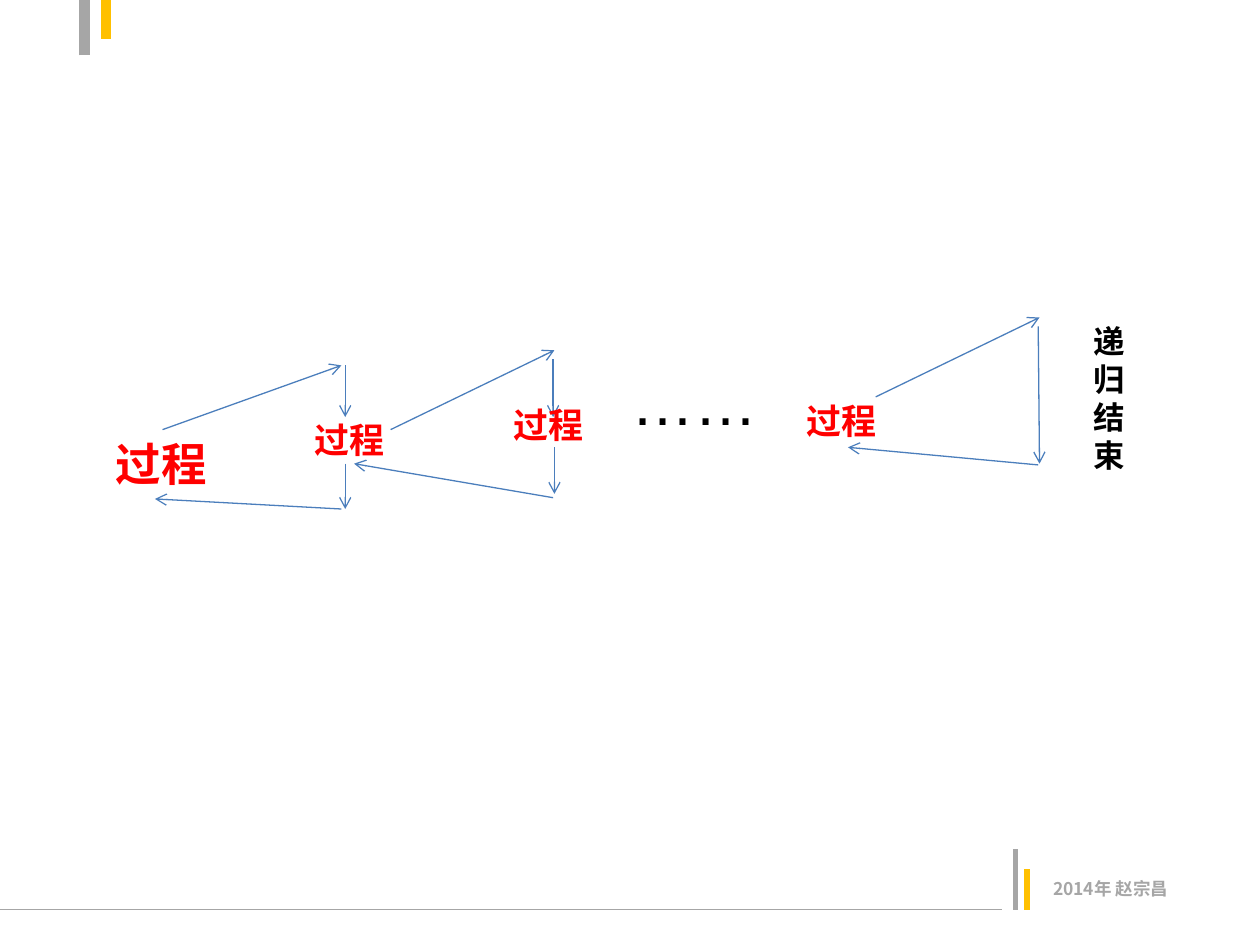
import pptx
import pptx.util
import pptx.dml.color
import pptx.enum.shapes
import pptx.oxml.ns
import lxml.etree
from dataclasses import dataclass
from pptx.util import Inches


@dataclass
class Theme:
    """Colours, fonts and type sizes."""
    gray: str = "A6A6A6"
    gold: str = "FFC000"
    blue: str = "4B7EBC"
    red: str = "FF0000"
    black: str = "000000"
    font: str = "Arial"
    foot_font: str = "Noto Sans CJK SC"
    foot: int = 10
    end: int = 18
    step: int = 20
    first: int = 26
    dots: int = 36


class Deck:
    """Holds the theme and the current slide."""

    def __init__(self, theme):
        """Start a file with one empty slide."""
        self.theme = theme
        self.file = pptx.Presentation()
        self.file.slide_width = Inches(10)
        self.file.slide_height = Inches(7.5)
        self.slide = self.file.slides.add_slide(self.file.slide_layouts[6])

    def line(self, start, end, color, width):
        """Draw a straight line and return it."""
        kind = pptx.enum.shapes.MSO_CONNECTOR.STRAIGHT
        ends = [Inches(v) for v in (*start, *end)]
        line = self.slide.shapes.add_connector(kind, *ends)
        line.line.color.rgb = pptx.dml.color.RGBColor.from_string(color)
        line.line.width = pptx.util.Pt(width)
        props = line._element.spPr
        lxml.etree.SubElement(props, pptx.oxml.ns.qn("a:effectLst"))
        return line

    def arrow(self, start, end):
        """Draw a thin line with an open arrowhead at its end."""
        line = self.line(start, end, self.theme.blue, 0.75)
        stroke = line._element.spPr.find(pptx.oxml.ns.qn("a:ln"))
        tip = lxml.etree.SubElement(stroke, pptx.oxml.ns.qn("a:tailEnd"))
        tip.set("type", "arrow")

    def text(self, words, box, size, color, bold=True, wrap=True, font=None):
        """Place one paragraph of text."""
        shape = self.slide.shapes.add_textbox(*[Inches(v) for v in box])
        frame = shape.text_frame
        frame.word_wrap = wrap
        part = frame.paragraphs[0]
        part.text = words
        part.font.name = font or self.theme.font
        part.font.size = pptx.util.Pt(size)
        part.font.bold = bold
        part.font.color.rgb = pptx.dml.color.RGBColor.from_string(color)


def frame(deck):
    """Draw the corner bars and the footer."""
    look = deck.theme
    for start, end, color, width in (
            ((-0.04, 7.22), (7.95, 7.22), look.gray, 0.75),
            ((8.06, 7.22), (8.06, 6.74), look.gray, 3),
            ((8.15, 7.22), (8.15, 6.9), look.gold, 3),
            ((0.67, 0.44), (0.67, -0.03), look.gray, 6),
            ((0.84, 0), (0.84, 0.31), look.gold, 6)):
        deck.line(start, end, color, width)
    deck.text("2014年 赵宗昌", (8.26, 6.92, 1.19, 0.27), look.foot,
              look.gray, wrap=False, font=look.foot_font)


def calls(deck):
    """Draw the arrows: call up, step down, return."""
    for start, end in (
            ((1.29, 3.41), (2.71, 2.9)),
            ((2.74, 2.9), (2.74, 3.31)),
            ((2.74, 3.68), (2.74, 4.04)),
            ((2.71, 4.04), (1.23, 3.96)),
            ((3.1, 3.41), (4.4, 2.78)),
            ((4.39, 2.85), (4.39, 3.31)),
            ((4.4, 3.55), (4.4, 3.92)),
            ((4.39, 3.95), (2.81, 3.68)),
            ((6.95, 3.15), (8.25, 2.52)),
            ((8.24, 2.59), (8.25, 3.68)),
            ((8.24, 3.69), (6.73, 3.55))):
        deck.arrow(start, end)


def labels(deck):
    """Write the steps, the dots and the end of the recursion."""
    look = deck.theme
    deck.text("过程", (0.82, 3.41, 0.94, 0.54), look.first, look.red,
              wrap=False)
    for left, top in ((2.4, 3.27), (3.98, 3.15), (6.3, 3.12)):
        deck.text("过程", (left, top, 0.85, 0.44), look.step, look.red)
    deck.text("……", (4.91, 2.83, 1.75, 0.71), look.dots, look.black,
              bold=False)
    deck.text("递归结束", (8.58, 2.51, 0.33, 1.31), look.end, look.black)


def main():
    """Build and save the slide."""
    deck = Deck(Theme())
    frame(deck)
    calls(deck)
    labels(deck)
    deck.file.save("out.pptx")


main()
